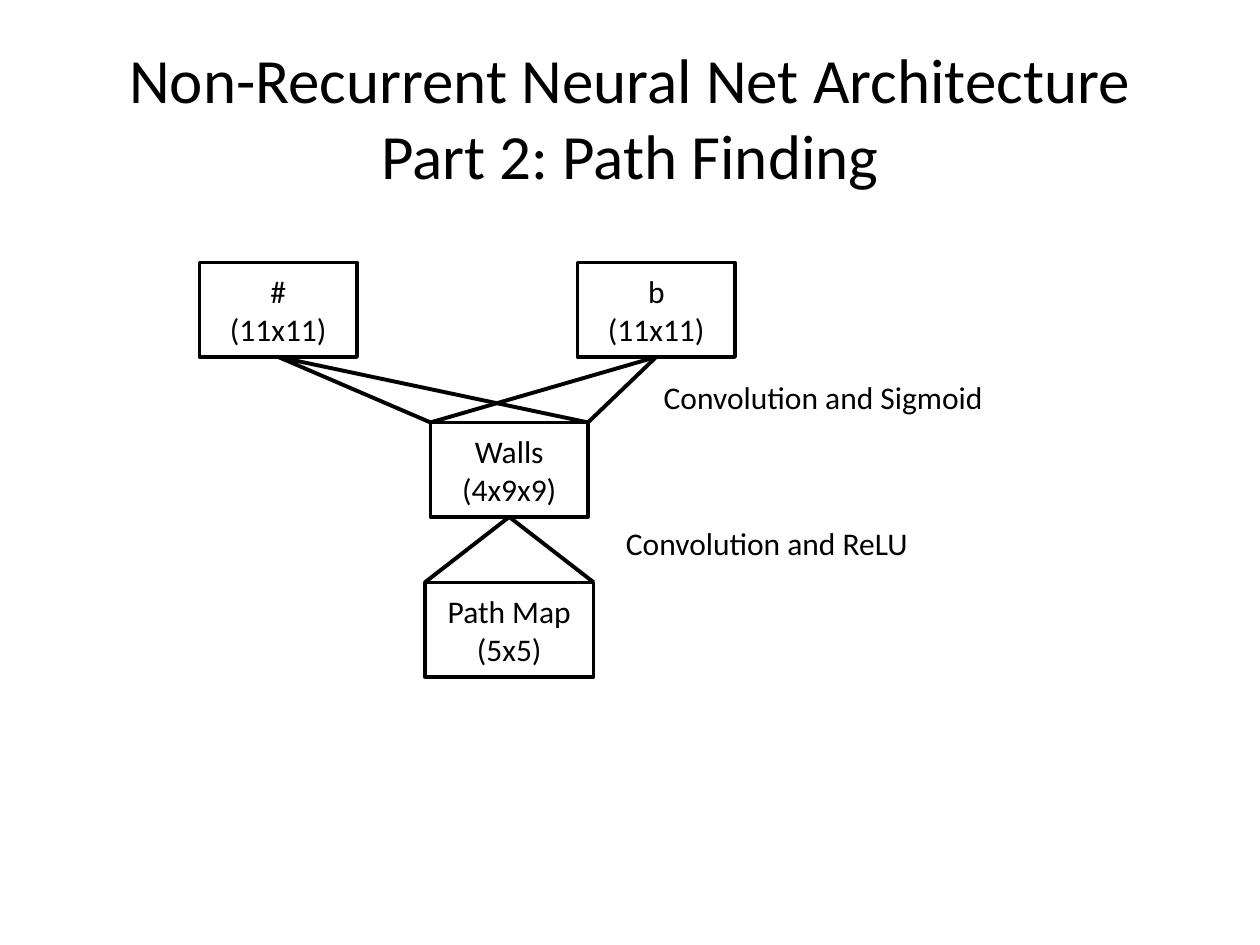
from dataclasses import dataclass

from pptx import Presentation
from pptx import util as u
from pptx.dml import color
from pptx.enum import shapes, text
from pptx.oxml import ns, xmlchemy


@dataclass(frozen=True)
class Theme:
    ink: color.RGBColor = color.RGBColor(0, 0, 0)
    paper: color.RGBColor = color.RGBColor(255, 255, 255)
    font: str = "Calibri"
    title_size: float = 36
    body_size: float = 18
    box_line: float = 2
    link_line: float = 2.25


@dataclass(frozen=True)
class Layer:
    name: str
    size: str
    left: float
    row: int
    width: float = 90

    @property
    def top(self) -> float:
        return FIRST_ROW + self.row * ROW_PITCH


@dataclass(frozen=True)
class Label:
    wording: str
    left: float
    top: float
    width: float
    height: float = 29


THEME = Theme()
FIRST_ROW, ROW_PITCH, BOX_HEIGHT = 150, 91.4, 54

HASH = Layer("#", "(11x11)", 114, 0)
GOAL = Layer("b", "(11x11)", 330, 0)
WALLS = Layer("Walls", "(4x9x9)", 246, 1)
PATH_MAP = Layer("Path Map", "(5x5)", 242.8, 2, 96.5)

LAYERS = (HASH, GOAL, WALLS, PATH_MAP)
LINKS = ((HASH, WALLS), (GOAL, WALLS), (WALLS, PATH_MAP))
LABELS = (
    Label("Convolution and Sigmoid", 372.2, 212.4, 198),
    Label("Convolution and ReLU", 350.6, 296, 178),
)


def add_run(paragraph, wording: str, size: float) -> None:
    run = paragraph.add_run()
    run.text = wording
    run.font.name = THEME.font
    run.font.size = u.Pt(size)
    run.font.color.rgb = THEME.ink


def add_title(slide, first_line: str, second_line: str) -> None:
    frame = slide.shapes.add_textbox(u.Pt(36), u.Pt(21.6), u.Pt(648), u.Pt(90)).text_frame
    frame.word_wrap = True
    frame.vertical_anchor = text.MSO_ANCHOR.MIDDLE
    paragraph = frame.paragraphs[0]
    paragraph.alignment = text.PP_ALIGN.CENTER
    add_run(paragraph, first_line, THEME.title_size)
    paragraph.add_line_break()
    add_run(paragraph, second_line, THEME.title_size)


def add_layer(slide, layer: Layer) -> None:
    shape = slide.shapes.add_shape(
        shapes.MSO_SHAPE.RECTANGLE,
        u.Pt(layer.left), u.Pt(layer.top), u.Pt(layer.width), u.Pt(BOX_HEIGHT),
    )
    shape.shadow.inherit = False
    shape.fill.solid()
    shape.fill.fore_color.rgb = THEME.paper
    shape.line.color.rgb = THEME.ink
    shape.line.width = u.Pt(THEME.box_line)
    frame = shape.text_frame
    frame.vertical_anchor = text.MSO_ANCHOR.MIDDLE
    for paragraph, wording in ((frame.paragraphs[0], layer.name),
                               (frame.add_paragraph(), layer.size)):
        paragraph.alignment = text.PP_ALIGN.CENTER
        add_run(paragraph, wording, THEME.body_size)


def add_link(slide, source: Layer, target: Layer) -> None:
    """Fan out from the source's bottom centre to the target's top corners."""
    for corner in (target.left, target.left + target.width):
        connector = slide.shapes.add_connector(
            shapes.MSO_CONNECTOR.STRAIGHT,
            u.Pt(source.left + source.width / 2), u.Pt(source.top + BOX_HEIGHT),
            u.Pt(corner), u.Pt(target.top),
        )
        connector.line.color.rgb = THEME.ink
        connector.line.width = u.Pt(THEME.link_line)
        properties = connector._element.spPr
        properties.append(xmlchemy.OxmlElement("a:effectLst"))


def add_label(slide, label: Label) -> None:
    frame = slide.shapes.add_textbox(
        u.Pt(label.left), u.Pt(label.top), u.Pt(label.width), u.Pt(label.height)
    ).text_frame
    frame.word_wrap = False
    frame.auto_size = text.MSO_AUTO_SIZE.SHAPE_TO_FIT_TEXT
    add_run(frame.paragraphs[0], label.wording, THEME.body_size)


# Slide
presentation = Presentation()
presentation.slide_width, presentation.slide_height = u.Pt(720), u.Pt(540)
slide = presentation.slides.add_slide(presentation.slide_layouts[6])
slide.background.fill.solid()
slide.background.fill.fore_color.rgb = THEME.paper

# Title
add_title(slide, "Non-Recurrent Neural Net Architecture", "Part 2: Path Finding")

# Network layers and the links between them
for layer in LAYERS:
    add_layer(slide, layer)
for source, target in LINKS:
    add_link(slide, source, target)

# Operation names
for label in LABELS:
    add_label(slide, label)

presentation.save("out.pptx")
